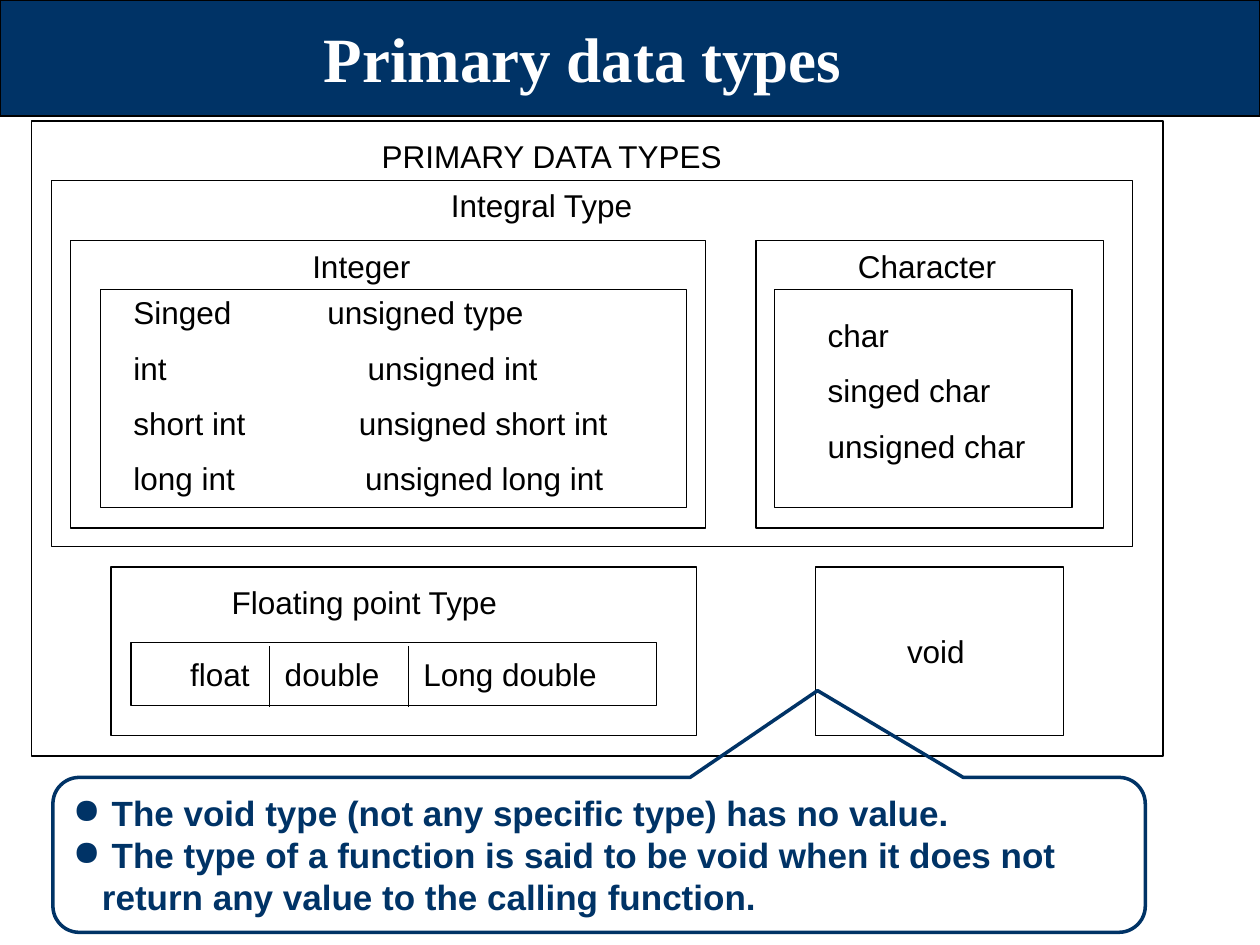
from pptx import Presentation, util as u
from pptx.dml.color import RGBColor
from pptx.enum import shapes, text
from pptx.oxml.ns import qn
from lxml import etree

NAVY = RGBColor(0x00, 0x33, 0x66)
BLACK = RGBColor(0, 0, 0)
WHITE = RGBColor(255, 255, 255)
WIDE, HIGH = 10, 7.5

TITLE = "Primary data types"
# Frames: left, top, width, height
FRAMES = [
    (0.25, 0.96, 8.98, 5.04),  # all types
    (0.41, 1.43, 8.58, 2.91),  # integral
    (0.56, 1.91, 5.04, 2.28),  # integer
    (0.8, 2.3, 4.65, 1.73),
    (6, 1.91, 2.76, 2.28),  # character
    (6.15, 2.3, 2.36, 1.73),
    (0.88, 4.5, 4.65, 1.34),  # floating point
    (6.47, 4.5, 1.97, 1.34),  # void
]
# Labels: place, then lines of (text, tab stop)
LABELS = [
    ((2.93, 1.04, 3.15, 0.4), [("PRIMARY DATA TYPES", None)]),
    ((3.48, 1.43, 1.97, 0.4), [("Integral Type", None)]),
    ((2.38, 1.91, 1.18, 0.4), [("Integer", None)]),
    ((0.96, 2.28, 4.33, 1.76), [
        ("Singed\tunsigned type", 1.54),
        ("int\tunsigned int", 1.86),
        ("short int\tunsigned short int", 1.79),
        ("long int\tunsigned long int", 1.84),
    ]),
    ((6.71, 1.91, 1.65, 0.4), [("Character", None)]),
    ((6.47, 2.46, 1.97, 1.3), [
        ("char", None), ("singed char", None), ("unsigned char", None)]),
    ((1.74, 4.58, 2.6, 0.4), [("Floating point Type", None)]),
    ((7.1, 4.97, 0.95, 0.4), [("void", None)]),
]
FLOATS = ["float", "double", "Long double"]
ROW = (1.04, 5.1, 4.17, 0.5)
SPLITS = (2.14, 3.24)
NOTES = [
    " The void type (not any specific type) has no value.",
    " The type of a function is said to be void when it does not return "
    "any value to the calling function.",
]
BODY = {"name": "Arial", "size": u.Pt(18), "bold": False}
NOTE = {"name": "Arial", "size": u.Pt(20), "bold": True}
HEAD = {"name": "Times New Roman", "size": u.Pt(36), "bold": True}


def inch(box):
    return [u.Inches(v) for v in box]


def style(para, font, color):
    for key, val in font.items():
        setattr(para.font, key, val)
    para.font.color.rgb = color


def stops(para, tabs):
    items = etree.SubElement(para._p.get_or_add_pPr(), qn("a:tabLst"))
    for pos in tabs:
        etree.SubElement(items, qn("a:tab"), pos=str(u.Inches(pos)), algn="l")


def outline(kind, box, color=BLACK, width=0.75):
    shape = slide.shapes.add_shape(kind, *inch(box))
    shape.shadow.inherit = False
    shape.fill.background()
    shape.line.color.rgb = color
    shape.line.width = u.Pt(width)
    return shape


def label(box, lines):
    frame = slide.shapes.add_textbox(*inch(box)).text_frame
    frame.word_wrap = True
    for i, (words, tab) in enumerate(lines):
        para = frame.add_paragraph() if i else frame.paragraphs[0]
        para.text = words
        if i:
            para.space_before = u.Pt(10)
        if tab:
            stops(para, [tab])
        style(para, BODY, BLACK)


deck = Presentation()
deck.slide_width, deck.slide_height = inch((WIDE, HIGH))
slide = deck.slides.add_slide(deck.slide_layouts[5])
RECT = shapes.MSO_SHAPE.RECTANGLE

title = slide.shapes.title
title.left, title.top, title.width, title.height = inch((0.25, 0.08, 8.75, 0.75))
title.text = TITLE
title.text_frame.vertical_anchor = text.MSO_ANCHOR.MIDDLE
title.text_frame.paragraphs[0].alignment = text.PP_ALIGN.CENTER
style(title.text_frame.paragraphs[0], HEAD, WHITE)

band = outline(RECT, (0, 0, WIDE, 0.92))
band.fill.solid()
band.fill.fore_color.rgb = NAVY
title._element.addprevious(band._element)  # behind the title

for box in FRAMES:
    outline(RECT, box)
for box, lines in LABELS:
    label(box, lines)

frame = outline(RECT, ROW).text_frame
frame.margin_left = u.Inches(0.47)
frame.vertical_anchor = text.MSO_ANCHOR.MIDDLE
para = frame.paragraphs[0]
para.text = "\t".join(FLOATS)
para.alignment = text.PP_ALIGN.LEFT
stops(para, (0.75, 1.85))
style(para, BODY, BLACK)
for x in SPLITS:
    line = slide.shapes.add_connector(
        shapes.MSO_CONNECTOR.STRAIGHT, *inch((x, 5.13, x, 5.61)))
    line.line.color.rgb = BLACK
    line.line.width = u.Pt(0.75)
    etree.SubElement(line._element.spPr, qn("a:effectLst"))

call = outline(shapes.MSO_SHAPE.ROUNDED_RECTANGULAR_CALLOUT,
               (0.42, 6.17, 8.67, 1.23), NAVY, 2)
for i, val in enumerate((0.2, -1.06, 0.17)):
    call.adjustments[i] = val
frame = call.text_frame
frame.word_wrap = True
frame.vertical_anchor = text.MSO_ANCHOR.MIDDLE
for i, words in enumerate(NOTES):
    para = frame.add_paragraph() if i else frame.paragraphs[0]
    para.text = words
    para.alignment = text.PP_ALIGN.LEFT
    props = para._p.get_or_add_pPr()
    hang = u.Inches(0.23)
    props.set("marL", str(hang))
    props.set("indent", str(-hang))
    etree.SubElement(props, qn("a:buChar"), char="●")
    style(para, NOTE, NAVY)

deck.save("out.pptx")
